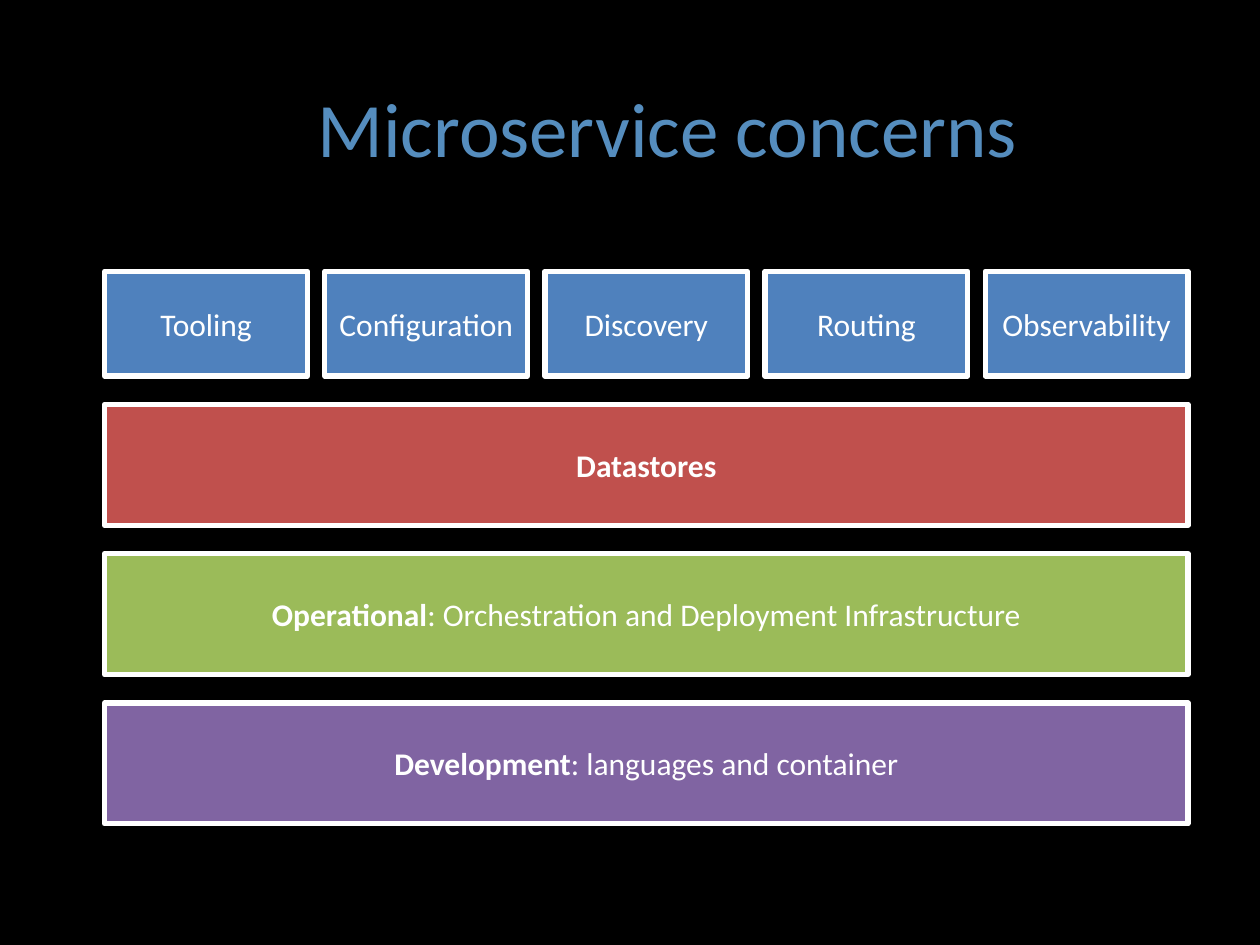
from pptx import Presentation
from pptx.dml.color import RGBColor
from pptx.enum.shapes import MSO_SHAPE
from pptx.enum.text import MSO_ANCHOR, PP_ALIGN
from pptx.util import Cm, Pt

# Content: each text is a list of (wording, bold) runs
TITLE = [("Microservice concerns", False)]
CONCERNS = ["Tooling", "Configuration", "Discovery", "Routing", "Observability"]
LAYERS = [
    ([("Datastores", True)], "red"),
    ([("Operational", True),
      (": Orchestration and Deployment Infrastructure", False)], "green"),
    ([("Development", True), (": languages and container", False)], "purple"),
]

THEME = {
    "font": "Calibri",
    "title_size": 44,
    "label_size": 18,
    "line_width": 3,
    "background": "000000",
    "title": "558DBE",
    "white": "FFFFFF",
    "blue": "4F81BD",
    "red": "C0504D",
    "green": "9BBB59",
    "purple": "8064A2",
}

# Layout in centimetres
LEFT, FULL_WIDTH = 2.11, 21.84
TILE_TOP, TILE_WIDTH, TILE_HEIGHT = 5.47, 4.09, 2.11
TILE_STEP = (FULL_WIDTH - TILE_WIDTH) / (len(CONCERNS) - 1)
LAYER_TOP, LAYER_HEIGHT, LAYER_STEP = 8.15, 2.44, 3.01


def color(name):
    return RGBColor.from_string(THEME[name])


def write_text(shape, runs, size, color_name, alignment, anchor):
    frame = shape.text_frame
    frame.word_wrap = True
    frame.vertical_anchor = anchor
    paragraph = frame.paragraphs[0]
    paragraph.alignment = alignment
    for wording, bold in runs:
        run = paragraph.add_run()
        run.text = wording
        run.font.name = THEME["font"]
        run.font.size = Pt(THEME[size])
        run.font.bold = bold
        run.font.color.rgb = color(color_name)


def add_block(slide, left, top, width, height, fill, runs):
    shape = slide.shapes.add_shape(
        MSO_SHAPE.RECTANGLE, Cm(left), Cm(top), Cm(width), Cm(height))
    shape.shadow.inherit = False
    shape.fill.solid()
    shape.fill.fore_color.rgb = color(fill)
    shape.line.color.rgb = color("white")
    shape.line.width = Pt(THEME["line_width"])
    write_text(shape, runs, "label_size", "white",
               PP_ALIGN.CENTER, MSO_ANCHOR.MIDDLE)


def main():
    presentation = Presentation()
    presentation.slide_width, presentation.slide_height = Cm(25.4), Cm(19.05)
    slide = presentation.slides.add_slide(presentation.slide_layouts[6])
    slide.background.fill.solid()
    slide.background.fill.fore_color.rgb = color("background")

    # Title
    title = slide.shapes.add_textbox(Cm(6.15), Cm(0.51), Cm(17.98), Cm(3.1))
    write_text(title, TITLE, "title_size", "title",
               PP_ALIGN.LEFT, MSO_ANCHOR.BOTTOM)

    # Row of concerns
    for column, concern in enumerate(CONCERNS):
        add_block(slide, LEFT + column * TILE_STEP, TILE_TOP,
                  TILE_WIDTH, TILE_HEIGHT, "blue", [(concern, False)])

    # Full-width layers beneath
    for row, (runs, fill) in enumerate(LAYERS):
        add_block(slide, LEFT, LAYER_TOP + row * LAYER_STEP,
                  FULL_WIDTH, LAYER_HEIGHT, fill, runs)

    presentation.save("out.pptx")


if __name__ == "__main__":
    main()
